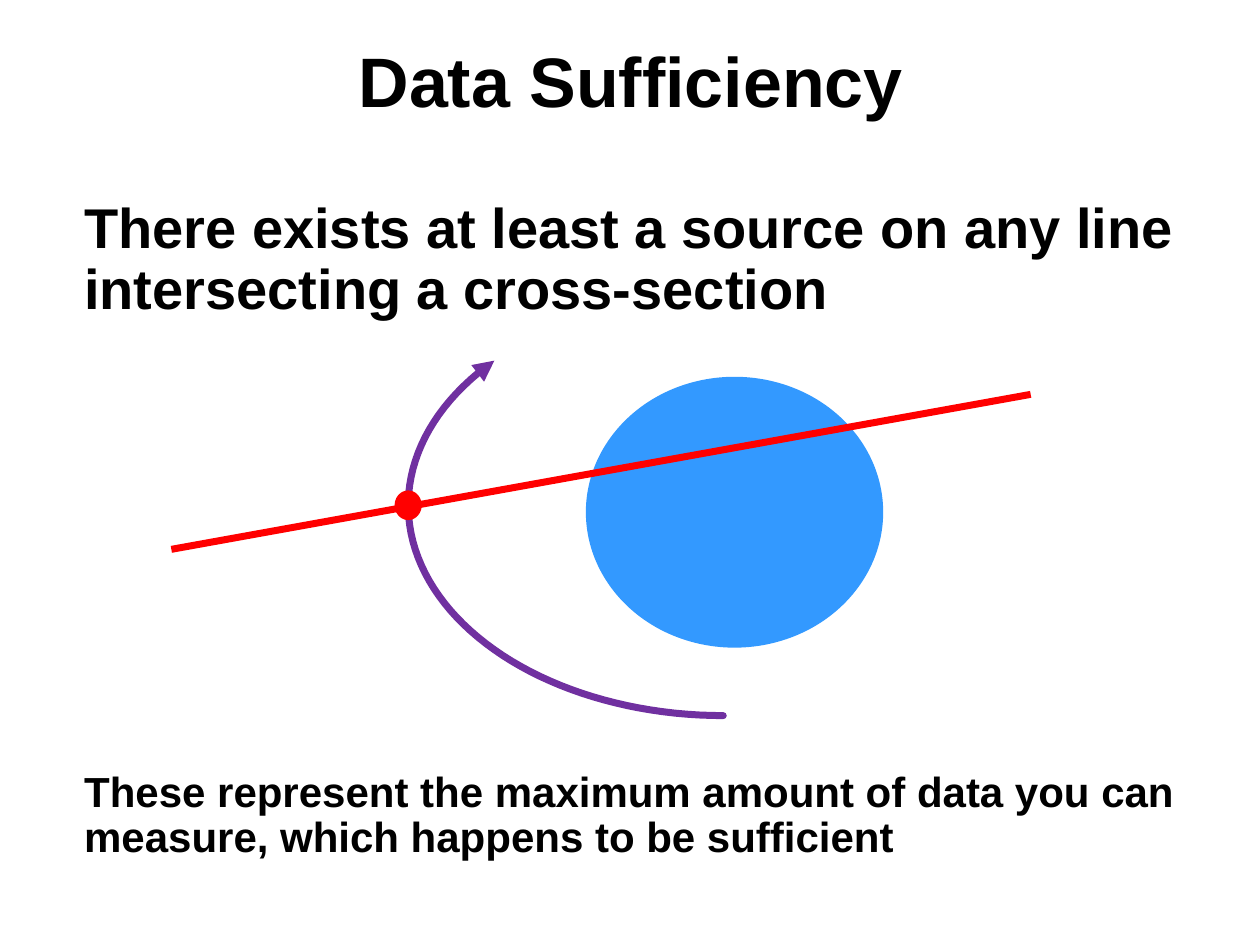
import math
from lxml import etree
from pptx import Presentation, util as u
from pptx.dml.color import RGBColor
from pptx.enum import shapes, text
from pptx.oxml.ns import qn

BLACK, BLUE, RED, PURPLE = "000000", "3399FF", "FF0000", "7030A0"
STROKE = 4


def color(value):
    """Turn a hex string into a colour."""
    return RGBColor.from_string(value)


def inches(*values):
    """Convert lengths in inches."""
    return [u.Inches(v) for v in values]


def add_run(p, words, size):
    """Append a bold black run to a paragraph."""
    r = p.add_run()
    r.text = words
    r.font.name, r.font.size, r.font.bold = "Arial", u.Pt(size), True
    r.font.color.rgb = color(BLACK)
    return r


def set_line(sp, hex_color):
    """Give a shape or connector the common stroke."""
    sp.line.color.rgb = color(hex_color)
    sp.line.width = u.Pt(STROKE)


def add_title(s, words, box):
    """Place the title with a soft grey text shadow."""
    sp = s.shapes.title
    sp.left, sp.top, sp.width, sp.height = inches(*box)
    tf = sp.text_frame
    tf.auto_size = text.MSO_AUTO_SIZE.NONE
    tf.vertical_anchor = text.MSO_ANCHOR.MIDDLE
    p = tf.paragraphs[0]
    p.alignment = text.PP_ALIGN.CENTER
    fill = add_run(p, words, 40).font.fill._xPr.find(qn("a:solidFill"))
    effects = etree.Element(qn("a:effectLst"))
    shadow = etree.SubElement(effects, qn("a:outerShdw"), dist="35921", dir="2700000")
    etree.SubElement(shadow, qn("a:srgbClr"), val="C0C0C0")
    fill.addnext(effects)


def add_text(s, lines, size, box, wrap):
    """Add a text box with one paragraph per line."""
    tf = s.shapes.add_textbox(*inches(*box)).text_frame
    tf.word_wrap = wrap
    for i, words in enumerate(lines):
        p = tf.add_paragraph() if i else tf.paragraphs[0]
        p.line_spacing = 0.9
        add_run(p, words, size)


def add_ellipse(s, hex_color, box, outlined=False):
    """Add a filled ellipse, with or without an outline."""
    sp = s.shapes.add_shape(shapes.MSO_SHAPE.OVAL, *inches(*box))
    sp.shadow.inherit = False
    sp.fill.solid()
    sp.fill.fore_color.rgb = color(hex_color)
    if outlined:
        set_line(sp, hex_color)
    else:
        sp.line.fill.background()


def add_ray(s, start, end):
    """Add the straight line through the cross-section."""
    sp = s.shapes.add_connector(shapes.MSO_CONNECTOR.STRAIGHT, *inches(*start, *end))
    set_line(sp, RED)
    etree.SubElement(sp._element.spPr, qn("a:effectLst"))


def add_trajectory(s, center, radii, start, end, steps=60):
    """Add an elliptical arc between two angles, ending in an arrowhead."""
    angles = [math.radians(start + (end - start) * i / steps) for i in range(steps + 1)]
    points = [inches(center[0] + radii[0] * math.cos(a), center[1] + radii[1] * math.sin(a))
              for a in angles]
    builder = s.shapes.build_freeform(*points[0])
    builder.add_line_segments(points[1:], close=False)
    sp = builder.convert_to_shape()
    sp.shadow.inherit = False
    sp.fill.background()
    set_line(sp, PURPLE)
    ln = sp.line._get_or_add_ln()
    ln.set("cap", "rnd")
    etree.SubElement(ln, qn("a:round"))
    etree.SubElement(ln, qn("a:tailEnd"), type="triangle")


def main():
    """Build the slide."""
    prs = Presentation()
    prs.slide_width, prs.slide_height = inches(10, 7.5)
    s = prs.slides.add_slide(prs.slide_layouts[5])
    add_title(s, "Data Sufficiency", (0.17, 0.17, 9.67, 0.92))
    add_ellipse(s, BLUE, (4.65, 2.99, 2.36, 2.15))
    add_ray(s, (1.36, 4.36), (8.18, 3.13))
    add_text(s, ["There exists at least a source on any line",
                 "intersecting a cross-section"], 32, (0.57, 1.54, 8.97, 1.07), False)
    add_trajectory(s, (5.74, 4.01), (2.5, 1.67), 90, 223.4)
    add_ellipse(s, RED, (3.16, 3.92, 0.16, 0.18), outlined=True)
    add_text(s, ["These represent the maximum amount of data you can measure, "
                 "which happens to be sufficient"], 24, (0.57, 6.07, 9.16, 0.83), True)
    prs.save("out.pptx")


if __name__ == "__main__":
    main()
